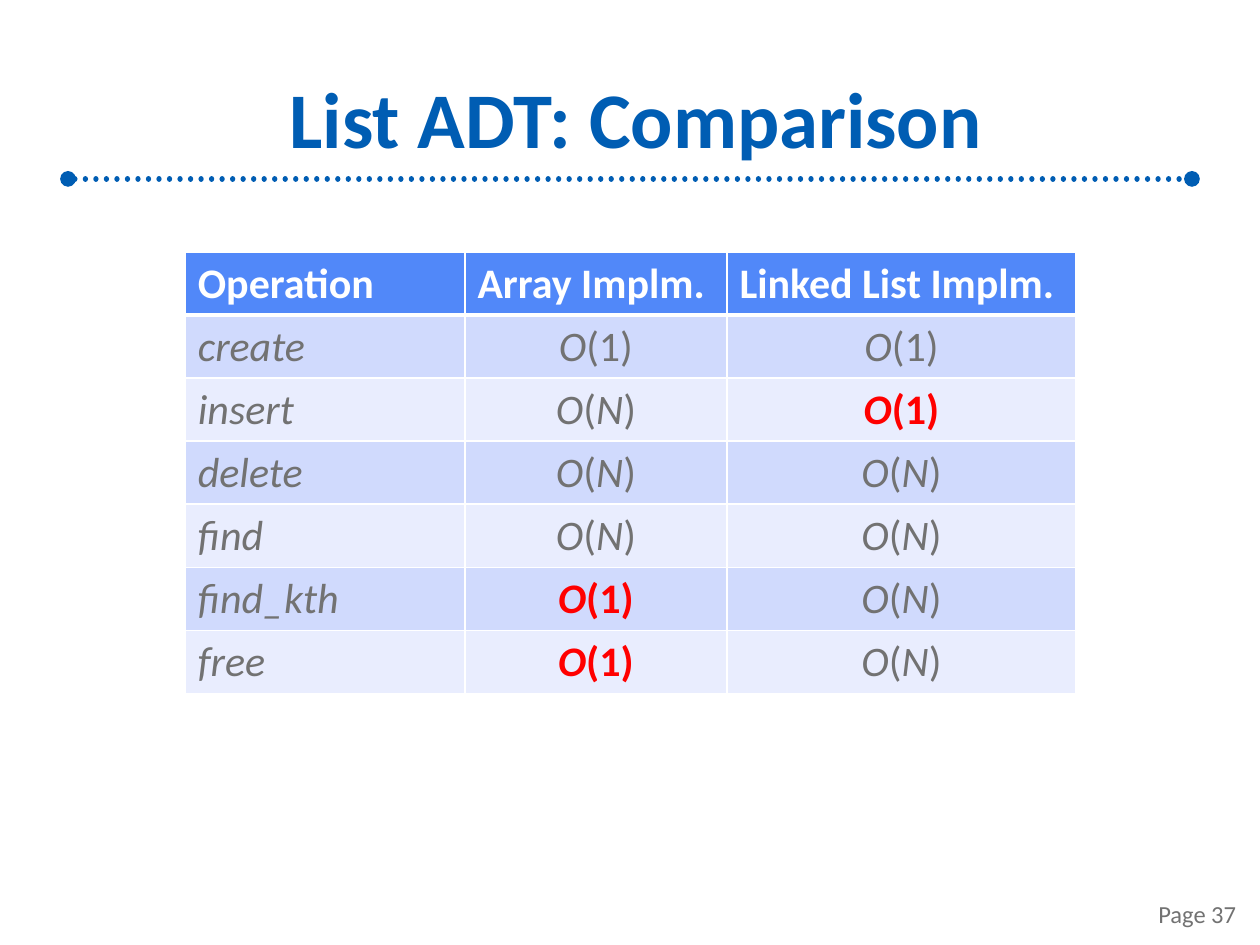
from lxml.etree import SubElement
from pptx import Presentation
from pptx.dml.color import RGBColor
from pptx.enum.dml import MSO_LINE
from pptx.enum.shapes import MSO_CONNECTOR as CONNECTOR
from pptx.enum.text import MSO_ANCHOR as ANCHOR, PP_ALIGN as ALIGN
from pptx.oxml.ns import qn
from pptx.util import Inches, Pt

FONT = "Calibri"
BLUE, GRAY, RED, WHITE = "005DB3", "727272", "FF0000", "FFFFFF"
HEADER_FILL, BAND_FILLS = "5188F9", ("D0DAFD", "E9EDFE")

HEADERS = ("Operation", "Array Implm.", "Linked List Implm.")
COLUMN_WIDTHS = (2.22, 2.08, 2.77)
# Operation, cost with an array, cost with a linked list; * marks a highlight
COSTS = (
    ("create", "1", "1"),
    ("insert", "N", "1*"),
    ("delete", "N", "N"),
    ("find", "N", "N"),
    ("find_kth", "1*", "N"),
    ("free", "1*", "N"),
)


def color(value):
    return RGBColor.from_string(value)


def add_span(para, text, size, fill, bold=False, italic=False):
    span = para.add_run()
    span.text = text
    font = span.font
    font.name, font.size, font.bold, font.italic = FONT, Pt(size), bold, italic
    font.color.rgb = color(fill)


def add_label(page, box, text, size, fill, align, anchor, bold=False):
    frame = page.shapes.add_textbox(*map(Inches, box)).text_frame
    frame.word_wrap = True
    frame.vertical_anchor = anchor
    para = frame.paragraphs[0]
    para.alignment = align
    add_span(para, text, size, fill, bold)
    return frame


def add_title(page, box):
    frame = add_label(page, box, "List ADT: Comparison", 45, BLUE,
                      ALIGN.CENTER, ANCHOR.MIDDLE, bold=True)
    frame.margin_left = frame.margin_right = Inches(0.04)
    frame.margin_top = frame.margin_bottom = Inches(0.04)


def add_dotted_rule(page, left, top, width):
    rule = page.shapes.add_connector(
        CONNECTOR.STRAIGHT, Inches(left), Inches(top), Inches(left + width), Inches(top))
    rule.line.color.rgb = color(BLUE)
    rule.line.width = Pt(3)
    rule.line.dash_style = MSO_LINE.ROUND_DOT
    properties = rule.line._get_or_add_ln()
    properties.set("cap", "rnd")
    for end in ("a:headEnd", "a:tailEnd"):
        SubElement(properties, qn(end), type="oval")
    SubElement(rule._element.spPr, qn("a:effectLst"))


def style_cell(cell, fill, top=1, bottom=1):
    """Give the cell a fill and white borders; top and bottom are in points."""
    properties = cell._tc.get_or_add_tcPr()
    for side, width in (("L", 1), ("R", 1), ("T", top), ("B", bottom)):
        border = SubElement(properties, qn(f"a:ln{side}"), w=str(Pt(width)))
        solid = SubElement(border, qn("a:solidFill"))
        SubElement(solid, qn("a:srgbClr"), val=WHITE)
    cell.fill.solid()
    cell.fill.fore_color.rgb = color(fill)


def write_cost(para, cost):
    para.alignment = ALIGN.CENTER
    bold = cost.endswith("*")
    fill = RED if bold else GRAY
    spans = ("O", "(", "N", ")") if cost == "N" else ("O", "(1)")
    for text in spans:
        add_span(para, text, 24, fill, bold, italic=text.isalpha())


def add_cost_table(page, box):
    table = page.shapes.add_table(
        len(COSTS) + 1, len(HEADERS), *map(Inches, box)).table
    for column, width in zip(table.columns, COLUMN_WIDTHS):
        column.width = Inches(width)
    for index, header in enumerate(HEADERS):
        cell = table.cell(0, index)
        style_cell(cell, HEADER_FILL, bottom=3)
        add_span(cell.text_frame.paragraphs[0], header, 24, WHITE, bold=True)
    for row, (operation, *costs) in enumerate(COSTS, start=1):
        cells = table.rows[row].cells
        for cell in cells:
            style_cell(cell, BAND_FILLS[(row - 1) % 2], top=3 if row == 1 else 1)
        add_span(table.cell(row, 0).text_frame.paragraphs[0],
                 operation, 24, GRAY, italic=True)
        for index, cost in enumerate(costs, start=1):
            write_cost(table.cell(row, index).text_frame.paragraphs[0], cost)


def main():
    deck = Presentation()
    deck.slide_width, deck.slide_height = Inches(10), Inches(7.5)
    page = deck.slides.add_slide(deck.slide_layouts[6])
    add_dotted_rule(page, 0.54, 1.42, 8.92)
    add_title(page, (0.67, 0.42, 8.75, 1.01))
    add_label(page, (7.58, 6.9, 2.33, 0.52), "Page 37", 14, GRAY,
              ALIGN.RIGHT, ANCHOR.BOTTOM)
    add_cost_table(page, (1.47, 2, sum(COLUMN_WIDTHS), 3.5))
    deck.save("out.pptx")


if __name__ == "__main__":
    main()
